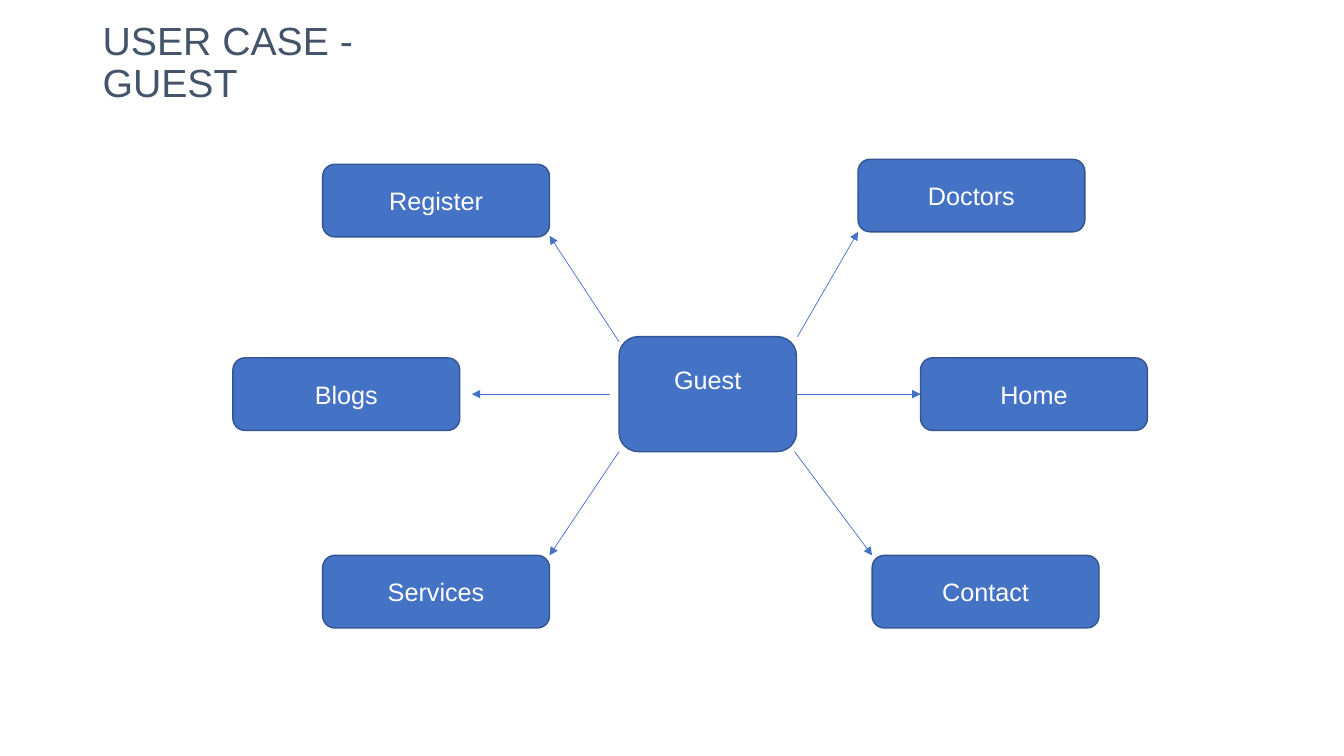
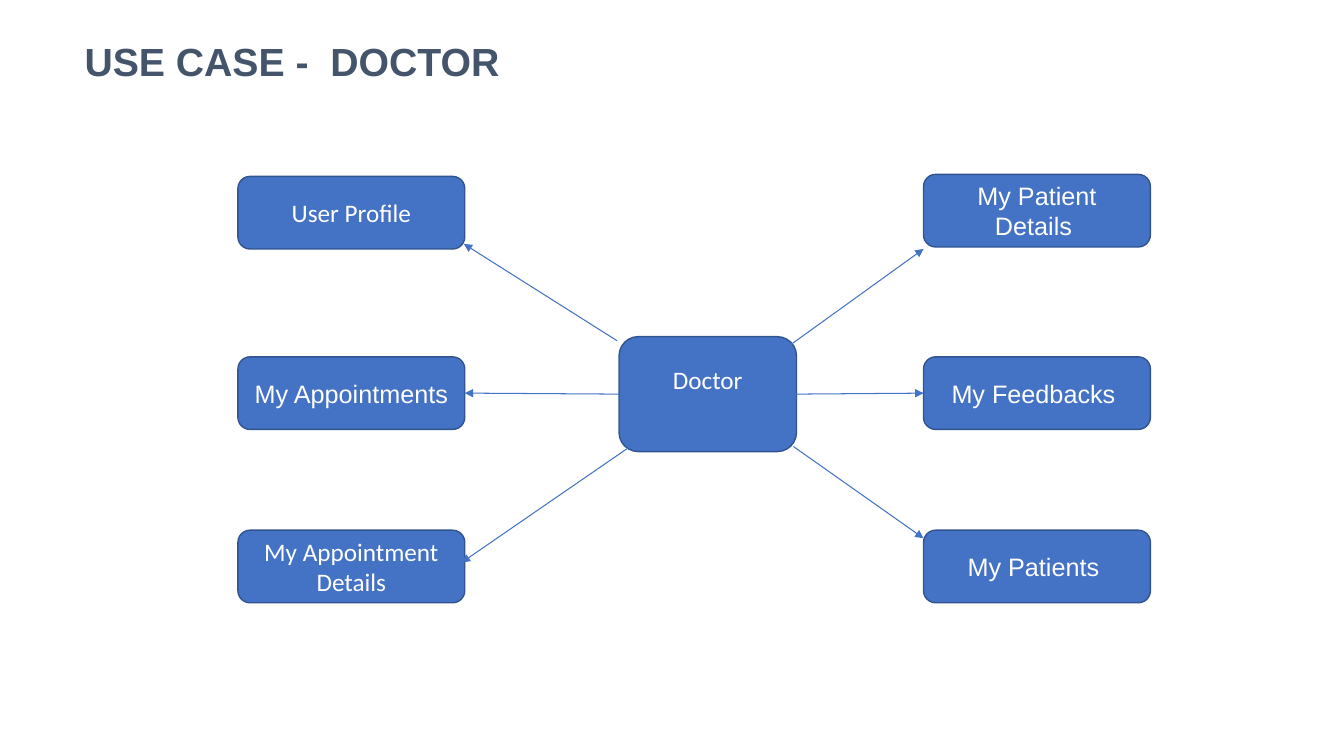
from lxml import etree
from pptx import Presentation
from pptx import util as u
from pptx.dml.color import RGBColor
from pptx.enum import shapes, text
from pptx.oxml.ns import qn

INCH = u.Inches


def rgb(code):
    return RGBColor.from_string(code)


class Deck:
    ink = "44546A"
    blue = "4472C4"
    white = "FFFFFF"
    size = (2.25, 0.72)
    hub_at = (6.14, 3.34, 1.76, 1.14)

    def __init__(self):
        self.prs = Presentation()
        self.prs.slide_width = INCH(13.33)
        self.prs.slide_height = INCH(7.5)

    def start(self, edge, thin):
        self.edge, self.thin = edge, thin
        self.slide = self.prs.slides.add_slide(self.prs.slide_layouts[6])

    def label(self, shape, words, font, size, color, bold=False):
        frame = shape.text_frame
        frame.word_wrap = True
        frame.vertical_anchor = text.MSO_ANCHOR.MIDDLE
        para = frame.paragraphs[0]
        run = para.add_run()
        run.text = words
        run.font.name = font
        run.font.size = u.Pt(size)
        run.font.bold = bold
        run.font.color.rgb = rgb(color)
        return para

    def title(self, words, left, width, bold=False):
        box = self.slide.shapes.add_textbox(*map(INCH, (left, 0.4, width, 0.47)))
        para = self.label(box, words, "Arial", 28, self.ink, bold)
        para.line_spacing = 0.9

    def node(self, words, left, top, font="Arial", size=size):
        box = self.slide.shapes.add_shape(
            shapes.MSO_SHAPE.ROUNDED_RECTANGLE, *map(INCH, (left, top, *size)))
        box.shadow.inherit = False
        box.fill.solid()
        box.fill.fore_color.rgb = rgb(self.blue)
        box.line.color.rgb = rgb(self.edge)
        box.line.width = u.Pt(1)
        para = self.label(box, words, font, 18, self.white)
        para.alignment = text.PP_ALIGN.CENTER
        return box

    def hub(self, words, font="Arial"):
        left, top, *size = self.hub_at
        box = self.node(words, left, top, font, size)
        box.text_frame.margin_bottom = INCH(0.35)

    def arrow(self, *ends):
        link = self.slide.shapes.add_connector(
            shapes.MSO_CONNECTOR.STRAIGHT, *map(INCH, ends))
        link.line.color.rgb = rgb(self.blue)
        link.line.width = u.Pt(self.thin)
        props = link.element.spPr
        etree.SubElement(props.find(qn("a:ln")), qn("a:tailEnd"), type="triangle")
        etree.SubElement(props, qn("a:effectLst"))


def guest(deck):
    deck.start("325491", 0.5)
    deck.title("USER CASE - GUEST", 0.92, 3.83)
    for node in (
        ("Register", 3.2, 1.63),
        ("Blogs", 2.31, 3.55),
        ("Services", 3.2, 5.51),
        ("Doctors", 8.51, 1.58),
        ("Home", 9.13, 3.55),
        ("Contact", 8.65, 5.51),
    ):
        deck.node(*node)
    deck.hub("Guest")
    for ends in (
        (6.14, 3.39, 5.45, 2.34),
        (6.05, 3.91, 4.68, 3.91),
        (6.14, 4.48, 5.45, 5.51),
        (7.91, 3.34, 8.51, 2.3),
        (7.89, 3.91, 9.13, 3.91),
        (7.88, 4.48, 8.65, 5.51),
    ):
        deck.arrow(*ends)


def doctor(deck):
    deck.start("31538F", 0.75)
    deck.title("USE CASE -  DOCTOR", 0.74, 5.85, True)
    left, right = 2.36, 9.16
    deck.node("User Profile", left, 1.75, "Calibri")
    deck.node("My Appointments ", left, 3.54)
    deck.node("My Appointment Details", left, 5.26, "Calibri")
    deck.node("My Patient Details ", right, 1.73)
    deck.node("My Patients ", right, 5.26)
    deck.hub("Doctor", "Calibri")
    for ends in (
        (6.12, 3.38, 4.6, 2.42),
        (6.14, 3.91, 4.61, 3.9),
        (6.25, 4.43, 4.58, 5.58),
        (7.8, 3.45, right, 2.47),
        (7.89, 3.91, right, 3.9),
        (7.87, 4.43, right, 5.34),
    ):
        deck.arrow(*ends)
    deck.node("My Feedbacks ", right, 3.54)


def main():
    deck = Deck()
    guest(deck)
    doctor(deck)
    deck.prs.save("out.pptx")


if __name__ == "__main__":
    main()
